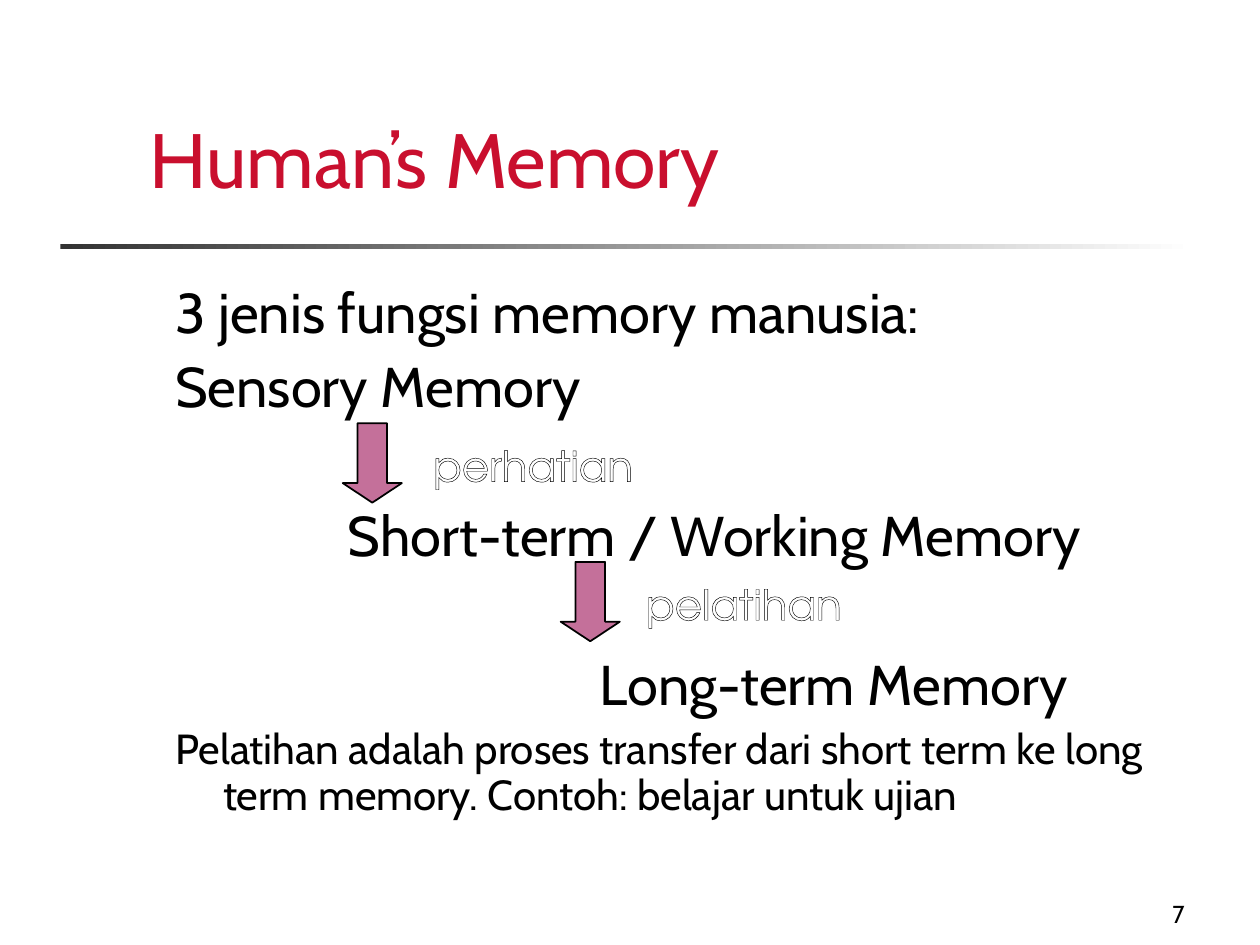
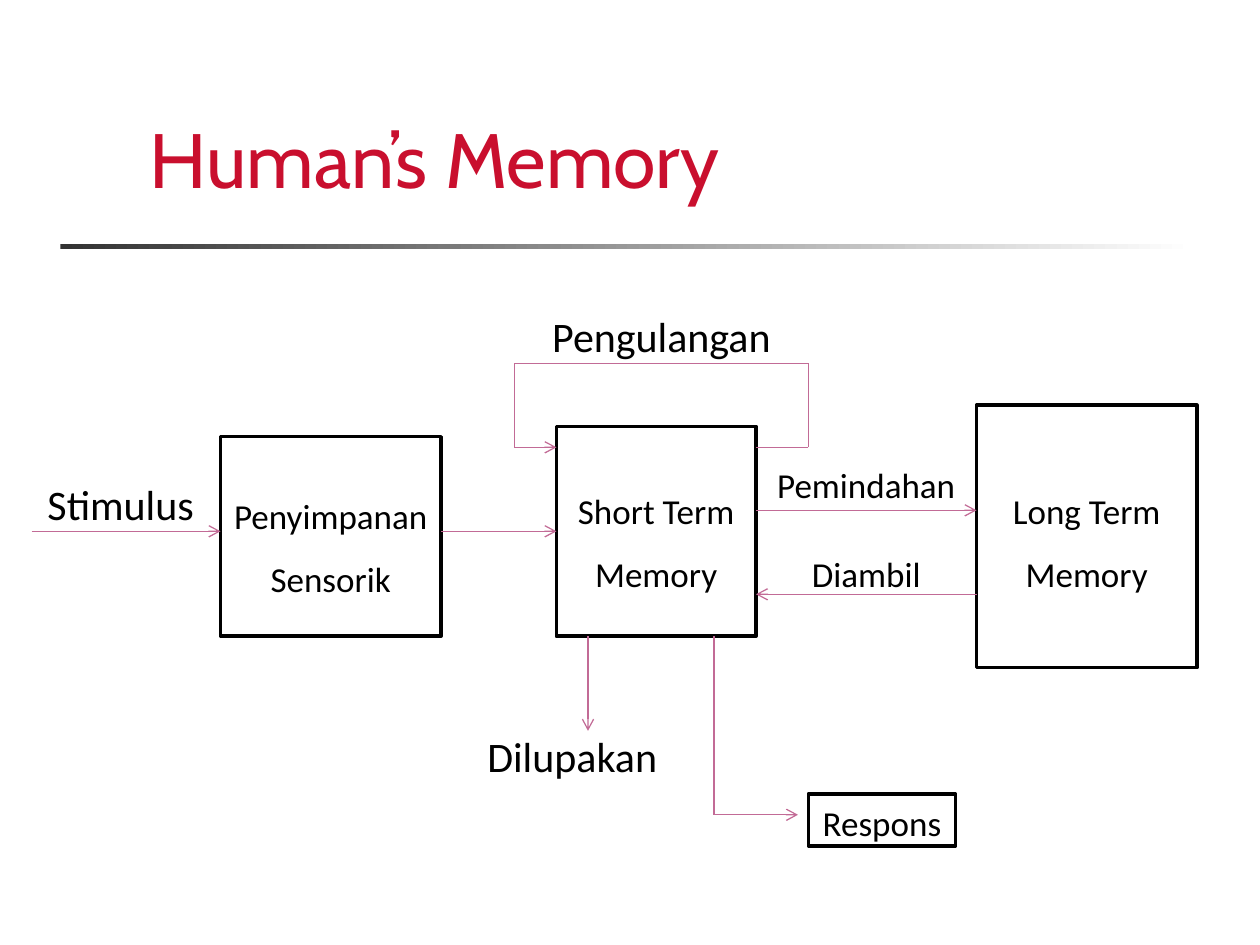
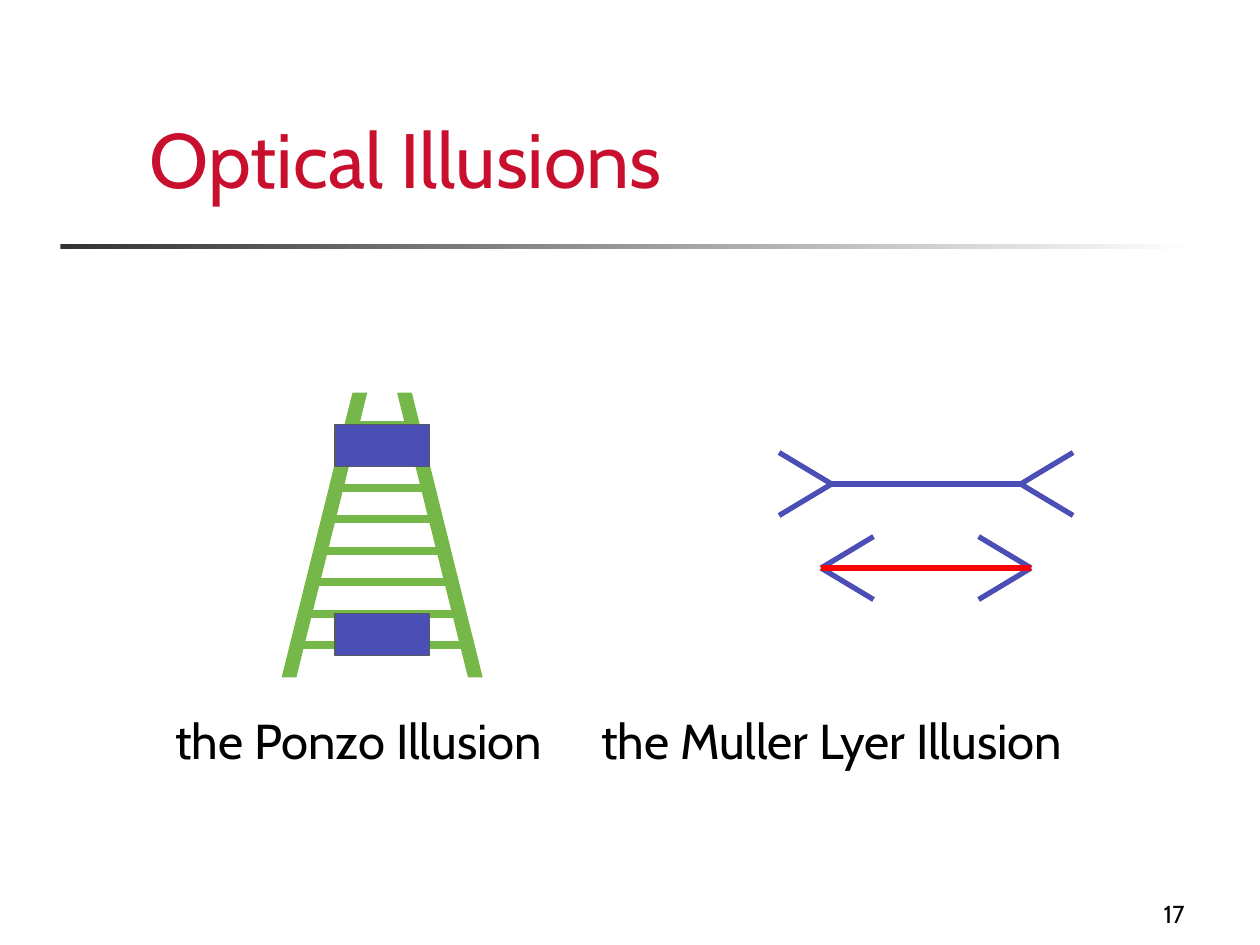
from itertools import pairwise

from lxml import etree
from pptx import Presentation
from pptx.dml.color import RGBColor
from pptx.enum.shapes import MSO_CONNECTOR, MSO_SHAPE
from pptx.enum.text import MSO_ANCHOR, MSO_AUTO_SIZE, PP_ALIGN
from pptx.oxml import parse_xml
from pptx.oxml.ns import nsdecls, qn
from pptx.util import Inches, Pt

LEFT, CENTER, RIGHT = PP_ALIGN.LEFT, PP_ALIGN.CENTER, PP_ALIGN.RIGHT
RECTANGLE = MSO_SHAPE.RECTANGLE
STRAIGHT = MSO_CONNECTOR.STRAIGHT
COLORS = {
    "title": "C90F2E", "text": "000000", "paper": "FFFFFF", "rule": "333333",
    "arrow": "C4709A", "flow": "C26B96", "ladder": "76B749", "block": "4B4EB5",
    "block edge": "555A5E", "shaft": "FF0000",
}
RGB = {name: RGBColor.from_string(value) for name, value in COLORS.items()}
HEADING, DIAGRAM, OUTLINED = "Cabin", "Calibri", "TeX Gyre Adventor"
CELL = Inches(1) // 12
FIRST_ROW = 34.6
LADDER_ROW = 2.85


def write(paragraph, text, size, font=HEADING, color="text", align=LEFT):
    paragraph.alignment = align
    paragraph.space_before = Pt(0)
    span = paragraph.add_run()
    span.text = text
    span.font.size = Pt(size)
    span.font.name = font
    span.font.color.rgb = RGB[color]
    return span


def draw_route(shapes, points, color, width, arrow=False):
    grid = [(int(col * CELL), int((row + FIRST_ROW) * CELL)) for col, row in points]
    for start, end in pairwise(grid):
        line = shapes.add_connector(STRAIGHT, *start, *end)
        line.line.color.rgb = RGB[color]
        line.line.width = Pt(width)
        etree.SubElement(line.element.spPr, qn("a:effectLst"))
    if arrow:
        etree.SubElement(line.line._get_or_add_ln(), qn("a:tailEnd"), type="arrow")
    return line


deck = Presentation()
deck.slide_width, deck.slide_height = Inches(10), Inches(7.5)

pages = []
for title, layout, number in [("Human’s Memory", 1, "7"),
                              ("Human’s Memory", 5, None),
                              ("Optical Illusions", 1, "17")]:
    page = deck.slides.add_slide(deck.slide_layouts[layout])
    pages.append(page)
    heading = page.shapes.title
    heading.left, heading.top = Inches(1.09), Inches(0.42)
    heading.width, heading.height = Inches(8.6), Inches(1.25)
    heading.text_frame.auto_size = MSO_AUTO_SIZE.NONE
    heading.text_frame.vertical_anchor = MSO_ANCHOR.BOTTOM
    write(heading.text_frame.paragraphs[0], title, 44, color="title")
    if number:
        footer = page.shapes.add_textbox(Inches(7.42), Inches(6.92), Inches(2.08), Inches(0.5))
        footer.text_frame.word_wrap = True
        footer.text_frame.vertical_anchor = MSO_ANCHOR.BOTTOM
        write(footer.text_frame.paragraphs[0], number, 14, align=RIGHT)

memory, flow, illusions = pages

rule = memory.shapes.add_shape(RECTANGLE, Inches(0.48), Inches(1.94), Inches(9), Inches(0.04))
rule.shadow.inherit = False
rule.line.fill.background()
rule.fill.gradient()
rule.fill.gradient_angle = 0
for stop, color in zip(rule.fill.gradient_stops, ["rule", "paper"]):
    stop.color.rgb = RGB[color]
deck.slide_master.shapes.element.append(rule.element)

memory_lines = [
    ("3 jenis fungsi memory manusia:", 32, 0, 0.38, -0.38),
    ("Sensory Memory", 32, 8, 0.38, -0.38),
    ("Short-term / Working Memory", 32, 50.6, 1.37, 0),
    ("Long-term Memory", 32, 50.6, 3.37, 0),
    ("Pelatihan adalah proses transfer dari short term ke long term memory. "
     "Contoh: belajar untuk ujian", 24, 6, 0.38, -0.38),
]
captions = [("the Ponzo Illusion\tthe Muller Lyer Illusion", 28, 0, 0.38, -0.38)]
for page, top, height, spacing, lines in [(memory, 2.21, 4.5, 0.9, memory_lines),
                                          (illusions, 5.59, 1, 1, captions)]:
    body = page.placeholders[1]
    body.left, body.top = Inches(1.29), Inches(top)
    body.width, body.height = Inches(8.5), Inches(height)
    body.text_frame.auto_size = MSO_AUTO_SIZE.NONE
    for index, (text, size, before, margin, indent) in enumerate(lines):
        para = body.text_frame.add_paragraph() if index else body.text_frame.paragraphs[0]
        properties = para._p.get_or_add_pPr()
        properties.set("marL", str(Inches(margin)))
        properties.set("indent", str(Inches(indent)))
        etree.SubElement(properties, qn("a:buNone"))
        if "\t" in text:
            tabs = etree.SubElement(properties, qn("a:tabLst"))
            etree.SubElement(tabs, qn("a:tab"), pos=str(Inches(3.38)), algn="l")
        write(para, text, size)
        para.space_before = Pt(before)
        para.line_spacing = spacing

for left, top, text, label_left in [(2.72, 3.36, "perhatian", 3.34),
                                    (4.45, 4.46, "pelatihan", 5.03)]:
    arrow = memory.shapes.add_shape(MSO_SHAPE.DOWN_ARROW, Inches(left), Inches(top),
                                    Inches(0.47), Inches(0.63))
    arrow.adjustments[1] = 0.33
    arrow.shadow.inherit = False
    arrow.fill.solid()
    arrow.fill.fore_color.rgb = RGB["arrow"]
    arrow.line.color.rgb = RGB["text"]
    arrow.line.width = Pt(1)
    label = memory.shapes.add_textbox(Inches(label_left), Inches(top + 0.08),
                                      Inches(1.9), Inches(0.39))
    label.text_frame.word_wrap = True
    span = write(label.text_frame.paragraphs[0], text, 24, OUTLINED, "paper")
    span._r.get_or_add_rPr().insert(0, parse_xml(
        f'<a:ln {nsdecls("a")} w="{Pt(0.75)}"><a:solidFill>'
        f'<a:srgbClr val="{COLORS["text"]}"/></a:solidFill></a:ln>'))

stores = {}
for name, col, row, cols, rows, spacing, above, below, lines in [
    ("sensory", 21, 7, 21, 19, 1.5, 0.05, 0.05, ["Penyimpanan", "Sensorik"]),
    ("short", 53, 6, 19, 20, 1.5, 0.05, 0.05, ["Short Term Memory"]),
    ("long", 93, 4, 21, 25, 1.5, 0.05, 0.13, ["Long Term Memory"]),
    ("response", 77, 41, 14, 5, 1, 0.08, 0.04, ["Respons"]),
]:
    store = flow.shapes.add_shape(RECTANGLE, col * CELL, int((row + FIRST_ROW) * CELL),
                                  cols * CELL, rows * CELL)
    stores[name] = store
    store.shadow.inherit = False
    store.fill.solid()
    store.fill.fore_color.rgb = RGB["paper"]
    store.line.color.rgb = RGB["text"]
    store.line.width = Pt(2)
    frame = store.text_frame
    frame.word_wrap = True
    frame.margin_left = frame.margin_right = Inches(0.05)
    frame.margin_top, frame.margin_bottom = Inches(above), Inches(below)
    frame.vertical_anchor = MSO_ANCHOR.MIDDLE
    for index, text in enumerate(lines):
        para = frame.add_paragraph() if index else frame.paragraphs[0]
        write(para, text, 20, DIAGRAM, align=CENTER)
        para.line_spacing = spacing

for points in [
    [(3, 16), (21, 16)],
    [(72, 8), (77, 8), (77, 0), (49, 0), (49, 8), (53, 8)],
    [(56, 26), (56, 35)],
    [(68, 26), (68, 43), (76, 43)],
    [(72, 14), (93, 14)],
    [(93, 22), (72, 22)],
]:
    draw_route(flow.shapes, points, "flow", 0.75, arrow=True)
transfer = draw_route(flow.shapes, [(42, 16), (53, 16)], "flow", 0.75, arrow=True)
transfer.end_connect(stores["short"], 1)

for text, col, row, cols, size in [
    ("Stimulus", 2, 10.4, 19, 24),
    ("Pengulangan", 50, -5.6, 26, 24),
    ("Dilupakan", 44, 34.4, 21, 24),
    ("Pemindahan", 72, 9, 21, 20),
    ("Diambil", 72, 17.4, 21, 20),
]:
    label = flow.shapes.add_textbox(col * CELL, int((row + FIRST_ROW) * CELL),
                                    cols * CELL, 6 * CELL)
    label.text_frame.word_wrap = True
    write(label.text_frame.paragraphs[0], text, size, DIAGRAM, align=CENTER)

ponzo = illusions.shapes.add_group_shape().shapes
rails = [(MSO_SHAPE.PARALLELOGRAM, col, 0, 8, 27, "ladder", "ladder") for col in (26.9, 37.9)]
blocks = [(RECTANGLE, 31.9, row, 9, 4, "block", "block edge") for row in (21, 3)]
parts = []
for kind, col, row, cols, rows, fill, edge in rails + blocks:
    part = ponzo.add_shape(kind, int(col * CELL), int((row + LADDER_ROW + FIRST_ROW) * CELL),
                           cols * CELL, rows * CELL)
    part.shadow.inherit = False
    part.fill.solid()
    part.fill.fore_color.rgb = RGB[fill]
    part.line.color.rgb = RGB[edge]
    part.line.width = Pt(0.75)
    parts.append(part)
for rail in parts[:2]:
    rail.adjustments[0] = 0.84
parts[1].element.spPr.xfrm.set("flipH", "1")
for row, start, end in [(24, 28, 44), (21, 29, 44), (18, 30, 43), (15, 31, 42),
                        (12, 31.9, 41), (9, 31.9, 41), (3, 34, 39)]:
    rung = draw_route(ponzo, [(start, row + LADDER_ROW), (end, row + LADDER_ROW)], "ladder", 4.5)
    parts[2].element.addprevious(rung.element)

muller_lyer = illusions.shapes.add_group_shape().shapes
for row, left_tip, right_tip, spread, color in [(11.5, 79.2, 97.2, 5, "block"),
                                                (19.5, 78.2, 98.2, -5, "shaft")]:
    for tip, feather in [(right_tip, right_tip + spread), (left_tip, left_tip - spread)]:
        draw_route(muller_lyer, [(feather, row - 3), (tip, row), (feather, row + 3)], "block", 3)
    draw_route(muller_lyer, [(right_tip, row), (left_tip, row)], color, 3)

deck.save("out.pptx")
